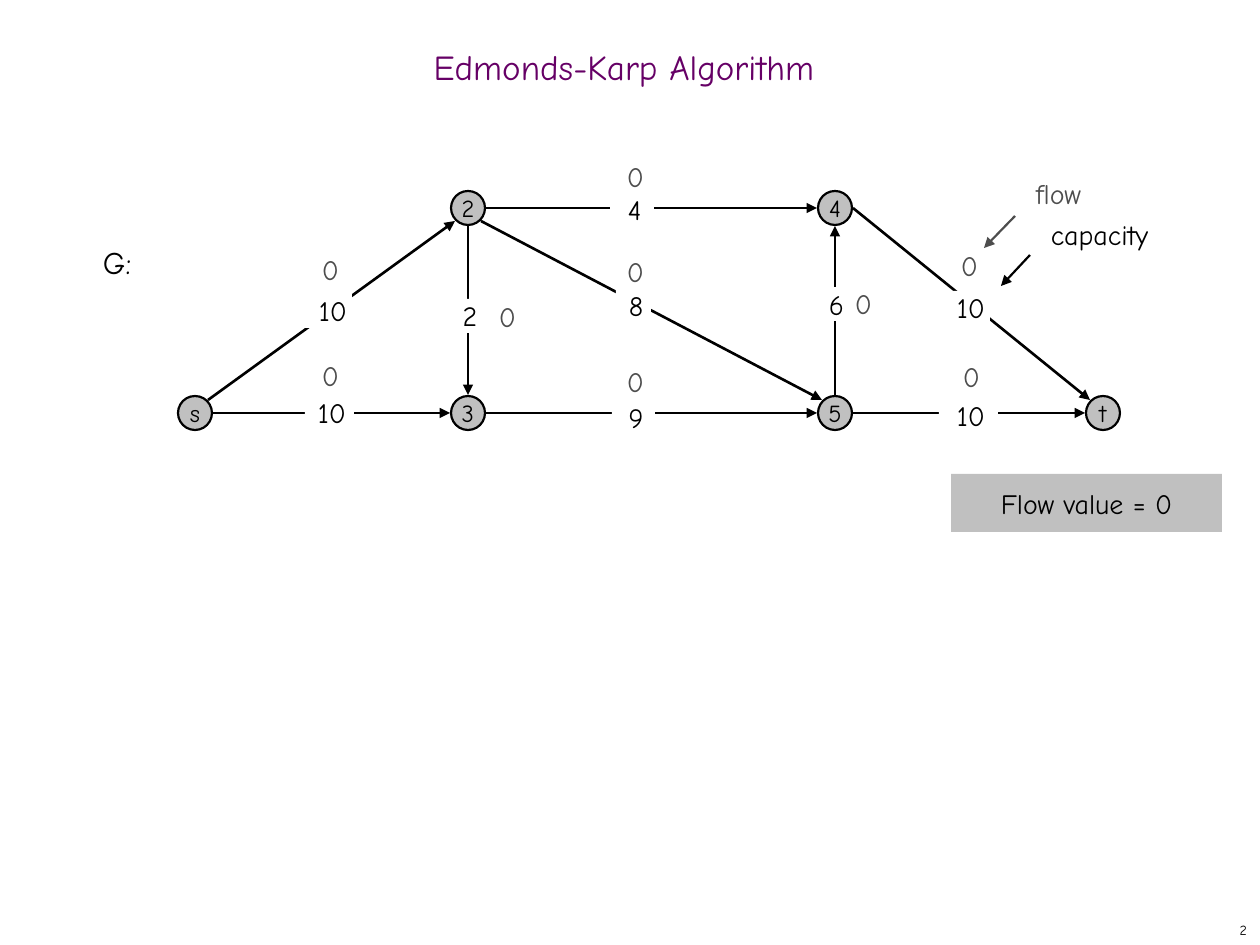
from lxml import etree
from pptx import Presentation, util as u
from pptx.dml.color import RGBColor
from pptx.enum import shapes, text
from pptx.oxml.ns import qn

PX = 914400 / 126
FONT = "Comic Neue"
BLACK, DARK, GRAY, WHITE, PURPLE = "000000", "4D4D4D", "C0C0C0", "FFFFFF", "660066"
NODE_SIZE = 34
SIDE_GAP, CORNER_GAP = 18, 13
NODES = {
    "s": (195, 413),
    "2": (468, 208),
    "3": (468, 413),
    "4": (835, 208),
    "5": (835, 413),
    "t": (1103, 413),
}
LEFT, RIGHT, UP, DOWN = (-1, 0), (1, 0), (0, -1), (0, 1)
EDGES = [
    ("s", (1, -1), "2", (-1, 1)),
    ("s", RIGHT, "3", LEFT),
    ("3", RIGHT, "5", LEFT),
    ("2", RIGHT, "4", LEFT),
    ("2", DOWN, "3", UP),
    ("5", UP, "4", DOWN),
    ("2", (1, 1), "5", (-1, -1)),
    ("4", RIGHT, "t", (-1, -1)),
    ("5", RIGHT, "t", LEFT),
]
CAPACITIES = [
    ("10", 305, 396, 49, 5),
    ("10", 294, 294, 58, 20),
    ("9", 612, 401, 43, 5),
    ("8", 616, 289, 35, 5),
    ("4", 610, 193, 44, 5),
    ("10", 939, 399, 59, 5),
    ("10", 932, 291, 58, 20),
    ("6", 805, 287, 58, 5),
    ("2", 438, 299, 59, 5),
]
FLOWS = [(307, 253), (612, 160), (946, 249), (307, 359), (612, 365),
         (948, 360), (612, 255), (484, 300), (840, 287)]


def px(value):
    return u.Emu(round(value * PX))


def color(value):
    return RGBColor.from_string(value)


def write(shape, words, size, ink=BLACK, align="CENTER", anchor="TOP",
          margins=(0, 0, 0, 0), wrap=True):
    frame = shape.text_frame
    frame.text = words
    frame.word_wrap = wrap
    frame.auto_size = text.MSO_AUTO_SIZE.NONE
    frame.vertical_anchor = text.MSO_ANCHOR[anchor]
    frame.margin_left, frame.margin_top, frame.margin_right, frame.margin_bottom = map(px, margins)
    para = frame.paragraphs[0]
    para.alignment = text.PP_ALIGN[align]
    font = para.runs[0].font
    font.name, font.size = FONT, u.Pt(size)
    font.color.rgb = color(ink)


def add_label(page, words, place, size=16, **style):
    box = page.shapes.add_textbox(*map(px, place))
    write(box, words, size, **style)


def add_filled(page, kind, place, fill, outline=None):
    shape = page.shapes.add_shape(kind, *map(px, place))
    shape.shadow.inherit = False
    shape.fill.solid()
    shape.fill.fore_color.rgb = color(fill)
    if outline:
        shape.line.color.rgb = color(outline)
        shape.line.width = u.Pt(1.25)
    else:
        shape.line.fill.background()
    return shape


def add_panel(page, words, place, fill=WHITE, size=16, **style):
    panel = add_filled(page, shapes.MSO_SHAPE.RECTANGLE, place, fill)
    write(panel, words, size, **style)


def add_node(page, name):
    x, y = NODES[name]
    place = (x - NODE_SIZE / 2, y - NODE_SIZE / 2, NODE_SIZE, NODE_SIZE)
    node = add_filled(page, shapes.MSO_SHAPE.OVAL, place, GRAY, BLACK)
    write(node, name, 14, anchor="MIDDLE", margins=(13, 6, 13, 6), wrap=False)


def add_arrow(page, start, end, ink=BLACK, width=1.5):
    arrow = page.shapes.add_connector(shapes.MSO_CONNECTOR.STRAIGHT, *map(px, (*start, *end)))
    arrow.line.color.rgb = color(ink)
    arrow.line.width = u.Pt(width)
    outline = arrow.line._get_or_add_ln()
    etree.SubElement(outline, qn("a:tailEnd"), type="triangle")
    etree.SubElement(arrow._element.spPr, qn("a:effectLst"))


def rim_point(name, direction):
    x, y = NODES[name]
    dx, dy = direction
    gap = CORNER_GAP if dx and dy else SIDE_GAP
    return x + dx * gap, y + dy * gap


def set_title(page, words):
    title = page.shapes.title
    title.left, title.top, title.width, title.height = map(px, (0, 21, 1260, 101))
    write(title, words, 20, PURPLE, anchor="MIDDLE", margins=(13, 6, 25, 6))
    title.text_frame.paragraphs[0].line_spacing = 0.7


def main():
    deck = Presentation()
    deck.slide_width, deck.slide_height = px(1260), px(945)
    page = deck.slides.add_slide(deck.slide_layouts[5])
    inset = (13, 6, 13, 6)

    set_title(page, "Edmonds-Karp Algorithm")
    add_label(page, "2", (998, 914, 262, 31), 8, align="RIGHT", anchor="MIDDLE",
              margins=inset, wrap=False)

    for name in NODES:
        add_node(page, name)
    for source, exit_side, target, entry_side in EDGES:
        add_arrow(page, rim_point(source, exit_side), rim_point(target, entry_side))
    for words, left, top, width, indent in CAPACITIES:
        add_panel(page, words, (left, top, width, 34), margins=(indent, 0, 0, 0))
    for left, top in FLOWS:
        add_label(page, "0", (left, top, 47, 24), ink=DARK)

    add_panel(page, "G:", (93, 243, 60, 38), size=18, align="LEFT", margins=(10, 0, 0, 0))
    add_panel(page, "Flow value = 0", (951, 474, 271, 58), GRAY, anchor="MIDDLE",
              margins=(13, 19, 13, 19))

    add_label(page, "flow", (1014, 171, 89, 47), ink=DARK, margins=inset)
    add_label(page, "capacity", (1022, 212, 155, 47), margins=inset)
    add_arrow(page, (1015, 216), (984, 248), DARK, 1.25)
    add_arrow(page, (1030, 255), (1001, 286), BLACK, 1.25)

    deck.save("out.pptx")


if __name__ == "__main__":
    main()
